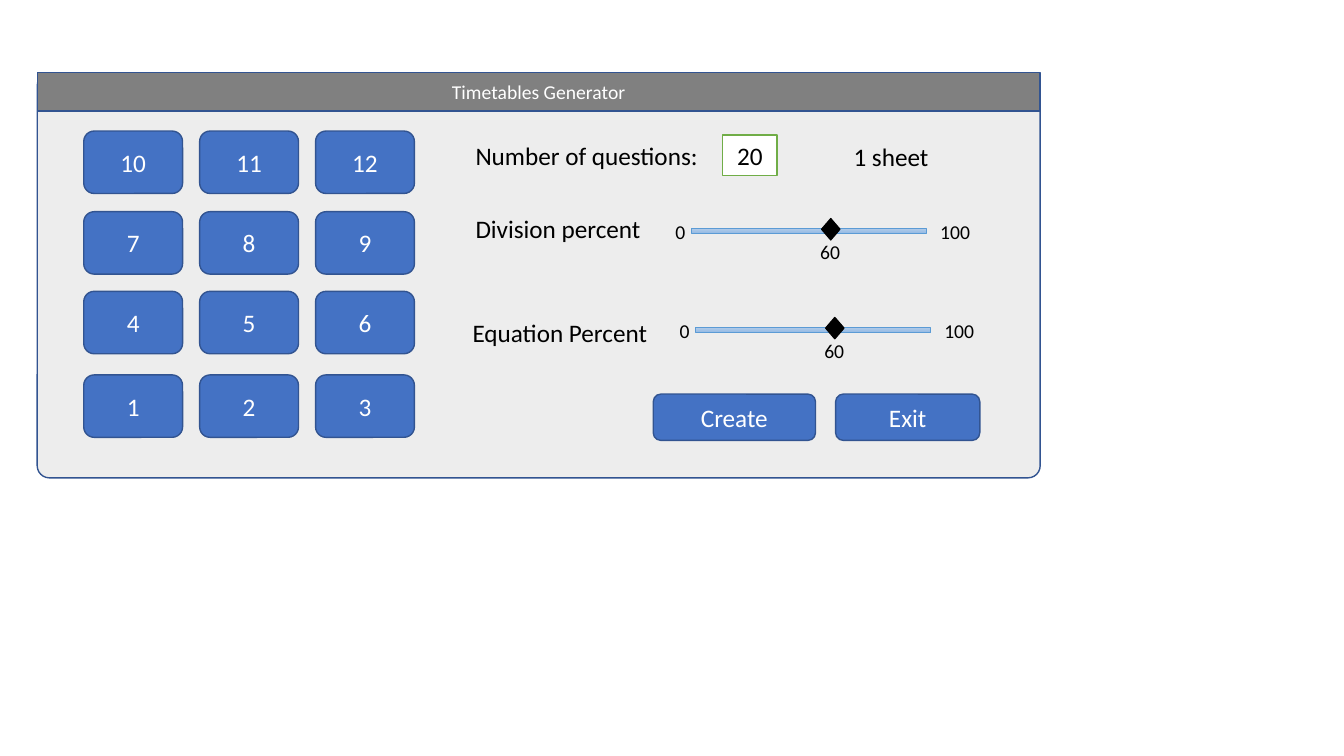
from copy import deepcopy
from dataclasses import dataclass

from pptx import Presentation
from pptx.dml.color import RGBColor
from pptx.enum.shapes import MSO_SHAPE
from pptx.enum.text import MSO_ANCHOR, MSO_AUTO_SIZE, PP_ALIGN
from pptx.oxml.ns import qn
from pptx.shapes.autoshape import Shape
from pptx.shapes.shapetree import GroupShapes, SlideShapes
from pptx.slide import Slide
from pptx.util import Pt

FONT = "Calibri"
COLORS = {
    "panel": "EDEDED", "title bar": "808080", "button": "4472C4", "outline": "325491",
    "white": "FFFFFF", "black": "000000", "input outline": "70AD47",
    "track top": "B1CBE9", "track bottom": "93B9E4", "track outline": "5B9BD5",
}


@dataclass(frozen=True)
class Box:
    left: float
    top: float
    width: float
    height: float


@dataclass(frozen=True)
class Button:
    text: str
    box: Box


@dataclass(frozen=True)
class Label:
    text: str
    box: Box


@dataclass(frozen=True)
class Slider:
    """A 0 to 100 slider, placed by the top left corner of its track."""
    left: float
    top: float
    value: str


PANEL = Box(26.6, 52.6, 716.4, 288.7)
TITLE_BAR = Box(26.6, 51.8, 716.4, 27.4)
QUESTION_COUNT = Box(516.2, 96.5, 38.9, 28.8)

KEY_LEFT, KEY_STEP, KEY_WIDTH, KEY_HEIGHT = 59.8, 82.8, 70.6, 44.6
KEY_COLUMNS = 3
KEY_ROW_TOPS = (267.8, 208.1, 151.2, 93.6)  # from 1-3 up to 10-12

LABELS = (
    Label("Number of questions:", Box(332.6, 96.5, 175.7, 29)),
    Label("Division percent", Box(332.6, 149, 133.9, 29)),
    Label("Equation Percent", Box(330.5, 223.2, 141.1, 29)),
    Label("1 sheet", Box(602.6, 97.2, 68.4, 29)),
)
SLIDERS = (Slider(494, 163.4, "60"), Slider(496.9, 234, "60"))
ACTIONS = (
    Button("Create", Box(466.6, 281.5, 115.9, 33.1)),
    Button("Exit", Box(596.9, 281.5, 103, 33.1)),
)


def color(name: str) -> RGBColor:
    return RGBColor.from_string(COLORS[name])


def paint(shape: Shape, fill: str, outline: str) -> None:
    shape.fill.solid()
    shape.fill.fore_color.rgb = color(fill)
    shape.line.color.rgb = color(outline)
    shape.line.width = Pt(1)


def write(shape: Shape, text: str, size: float, font_color: str,
          alignment: PP_ALIGN = PP_ALIGN.CENTER) -> None:
    frame = shape.text_frame
    frame.text = text
    frame.vertical_anchor = MSO_ANCHOR.MIDDLE
    paragraph = frame.paragraphs[0]
    paragraph.alignment = alignment
    paragraph.font.name = FONT
    paragraph.font.size = Pt(size)
    paragraph.font.color.rgb = color(font_color)


def add_box(shapes: SlideShapes | GroupShapes, kind: MSO_SHAPE, box: Box,
            fill: str, outline: str) -> Shape:
    shape = shapes.add_shape(kind, Pt(box.left), Pt(box.top), Pt(box.width), Pt(box.height))
    shape.shadow.inherit = False
    paint(shape, fill, outline)
    return shape


def add_text(shapes: SlideShapes | GroupShapes, label: Label) -> Shape:
    box = label.box
    return shapes.add_textbox(Pt(box.left), Pt(box.top), Pt(box.width), Pt(box.height))


def add_label(slide: Slide, label: Label) -> None:
    shape = add_text(slide.shapes, label)
    write(shape, label.text, 18, "black", PP_ALIGN.LEFT)
    shape.text_frame.word_wrap = False


def add_button(slide: Slide, button: Button) -> None:
    shape = add_box(slide.shapes, MSO_SHAPE.ROUNDED_RECTANGLE, button.box, "button", "outline")
    write(shape, button.text, 18, "white")


def add_keypad(slide: Slide) -> None:
    for row, top in enumerate(KEY_ROW_TOPS):
        for column in range(KEY_COLUMNS):
            box = Box(KEY_LEFT + column * KEY_STEP, top, KEY_WIDTH, KEY_HEIGHT)
            add_button(slide, Button(str(row * KEY_COLUMNS + column + 1), box))


def add_slider(slide: Slide, slider: Slider) -> None:
    shapes = slide.shapes.add_group_shape().shapes
    left, top = slider.left, slider.top
    captions = (
        Label("100", Box(left + 167.8, top - 12.2, 41, 28.8)),
        Label("0", Box(left - 16.6, top - 12.2, 17.3, 28.8)),
        Label(slider.value, Box(left + 71.3, top + 2.2, 55.4, 28.8)),
    )
    for caption in captions:
        shape = add_text(shapes, caption)
        write(shape, caption.text, 14, "black")
        frame = shape.text_frame
        frame.word_wrap = True
        frame.margin_left = frame.margin_right = 0

    track = add_box(shapes, MSO_SHAPE.RECTANGLE, Box(left, top, 167.8, 3.6),
                    "track top", "track outline")
    track.line.width = Pt(0.5)
    track.fill.gradient()
    track.fill.gradient_angle = 270
    for stop, name in zip(track.fill.gradient_stops, ("track top", "track bottom")):
        stop.color.rgb = color(name)
    add_box(shapes, MSO_SHAPE.DIAMOND, Box(left + 92.9, top - 7.2, 13, 15.1), "black", "black")


def add_title_bar(slide: Slide, panel: Shape) -> None:
    """Turn the title placeholder into a rounded bar in front of the panel."""
    title = slide.shapes.title
    title.left, title.top = Pt(TITLE_BAR.left), Pt(TITLE_BAR.top)
    title.width, title.height = Pt(TITLE_BAR.width), Pt(TITLE_BAR.height)
    properties = title.element.spPr
    properties.append(deepcopy(panel.element.spPr.find(qn("a:prstGeom"))))
    title.adjustments[0] = 0.15
    paint(title, "title bar", "outline")
    write(title, "Timetables Generator", 14, "white")
    title.text_frame.auto_size = MSO_AUTO_SIZE.NONE
    panel.element.addnext(title.element)


def main() -> None:
    presentation = Presentation()
    presentation.slide_width, presentation.slide_height = Pt(960), Pt(540)
    slide = presentation.slides.add_slide(presentation.slide_layouts[5])

    panel = add_box(slide.shapes, MSO_SHAPE.ROUNDED_RECTANGLE, PANEL, "panel", "outline")
    panel.adjustments[0] = 0.03
    add_title_bar(slide, panel)
    add_keypad(slide)
    for label in LABELS:
        add_label(slide, label)
    question_count = add_box(slide.shapes, MSO_SHAPE.RECTANGLE, QUESTION_COUNT,
                             "white", "input outline")
    write(question_count, "20", 18, "black")
    for slider in SLIDERS:
        add_slider(slide, slider)
    for action in ACTIONS:
        add_button(slide, action)

    presentation.save("out.pptx")


if __name__ == "__main__":
    main()
